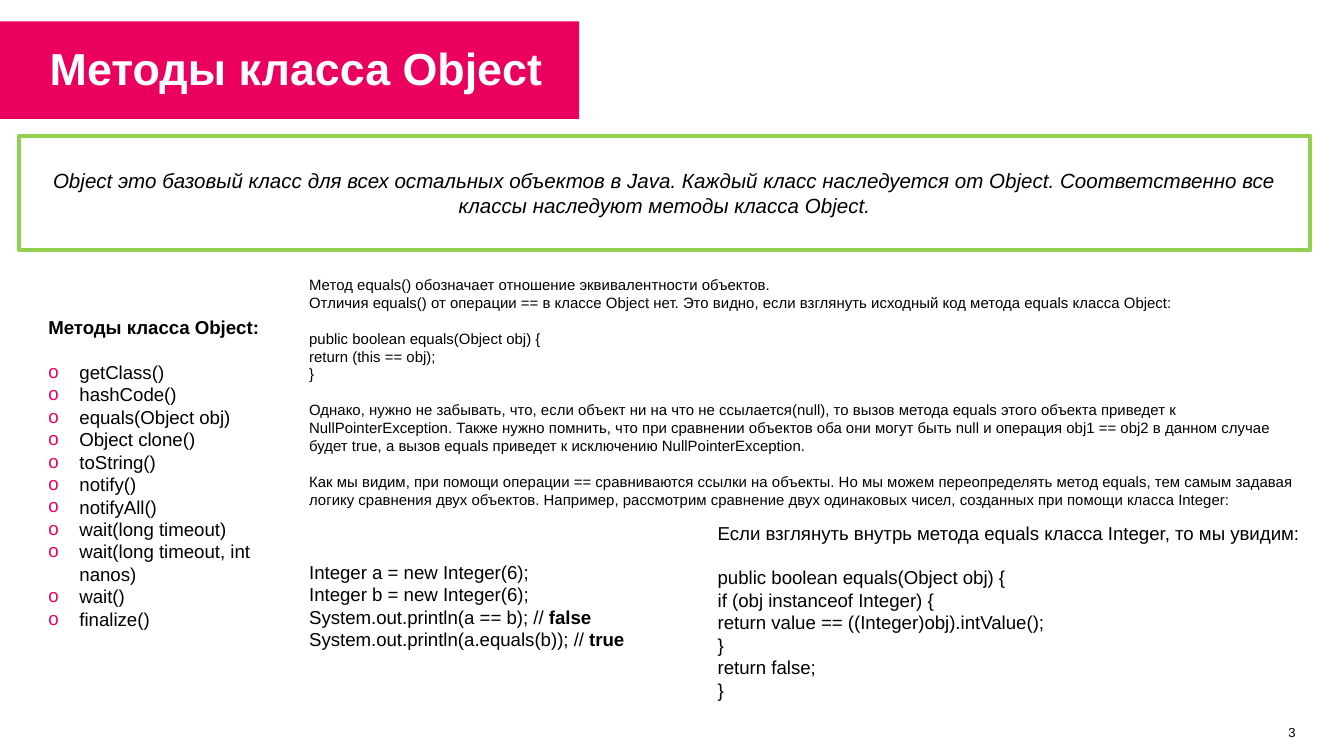
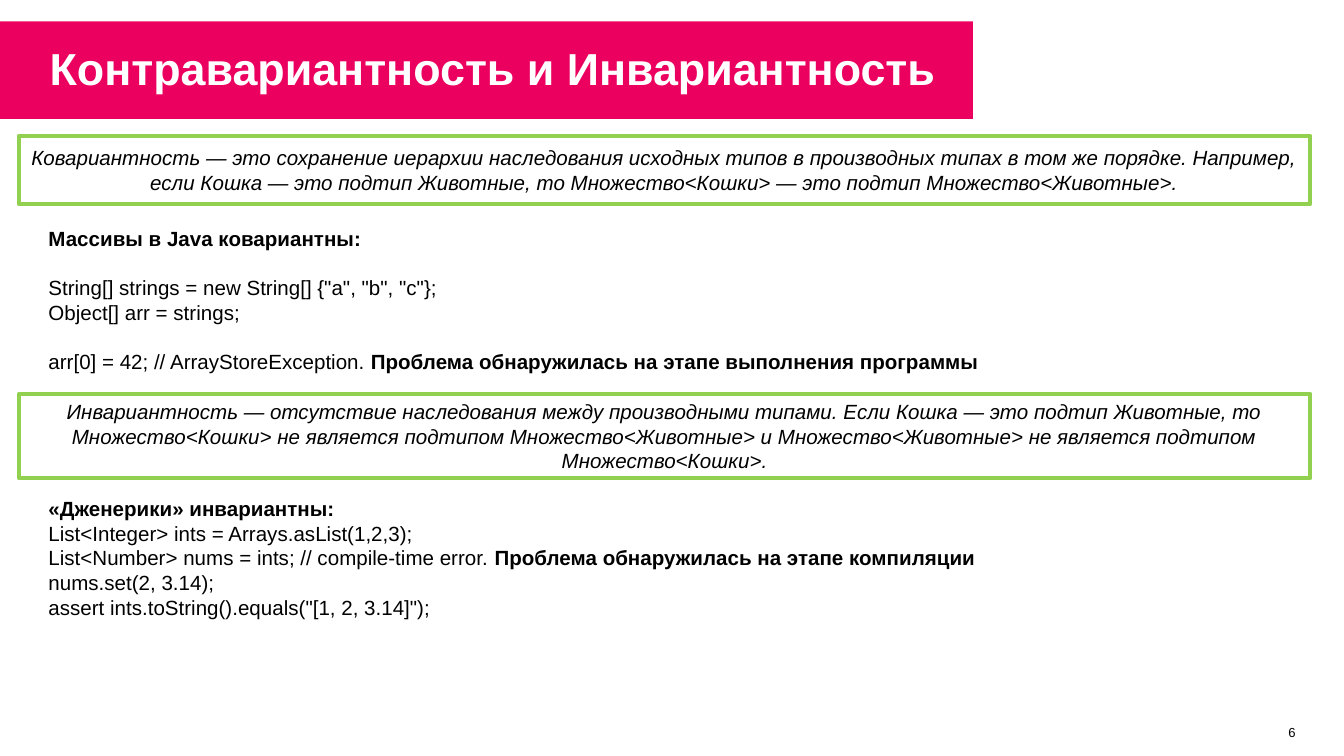
from collections import namedtuple

from lxml import etree
from pptx import Presentation
from pptx.dml.color import RGBColor
from pptx.enum.shapes import MSO_SHAPE
from pptx.enum.text import MSO_ANCHOR, MSO_AUTO_SIZE, PP_ALIGN
from pptx.oxml.ns import qn
from pptx.util import Pt

Box = namedtuple("Box", "x y w h")

RECT = MSO_SHAPE.RECTANGLE
TOP, MIDDLE = MSO_ANCHOR.TOP, MSO_ANCHOR.MIDDLE
LEFT, CENTER, RIGHT = PP_ALIGN.LEFT, PP_ALIGN.CENTER, PP_ALIGN.RIGHT
GROW = MSO_AUTO_SIZE.SHAPE_TO_FIT_TEXT

FONT = "Arial"
PINK, BULLET, GREEN = "EB005F", "EC005F", "92D050"
WHITE, BLACK = "FFFFFF", "000000"
PAGE = Box(0, 0, 720, 405)
MARGIN = 23.04
LEAD = 1.2  # line height as a share of the font size
INDENT = 16.6
TIGHT = (2.9, 2.2, 2.9, 2.9)
EVEN = (3.6,) * 4
WIDE = (5.2, 2.6, 5.2, 2.6)


def color(code):
    return RGBColor.from_string(code)


def place(box):
    return [Pt(n) for n in box]


def inside(box, x, y, w, h):
    """Return a box measured from the top left corner of another."""
    return Box(box.x + x, box.y + y, w, h)


def set_frame(frame, insets, anchor, wrap=True):
    frame.word_wrap = wrap
    frame.vertical_anchor = anchor
    (frame.margin_left, frame.margin_top,
     frame.margin_right, frame.margin_bottom) = place(insets)


def add_run(para, text, size, ink=BLACK, bold=False, italic=False):
    run = para.add_run()
    run.text = text
    font = run.font
    font.name, font.size = FONT, Pt(size)
    font.bold, font.italic = bold, italic
    font.color.rgb = color(ink)


def add_bullet(para):
    props = para._p.get_or_add_pPr()
    props.set("marL", str(Pt(INDENT)))
    props.set("indent", str(-Pt(INDENT)))
    tint = etree.SubElement(props, qn("a:buClr"))
    etree.SubElement(tint, qn("a:srgbClr")).set("val", BULLET)
    etree.SubElement(props, qn("a:buFont")).set("typeface", FONT)
    etree.SubElement(props, qn("a:buChar")).set("char", "o")


def add_rect(slide, box, fill, line=None):
    shape = slide.shapes.add_shape(RECT, *place(box))
    shape.shadow.inherit = False
    shape.fill.solid()
    shape.fill.fore_color.rgb = color(fill)
    if line:
        shape.line.color.rgb = color(line)
        shape.line.width = Pt(2)
    else:
        shape.line.fill.background()
    return shape


def add_label(slide, box, text, size, ink=BLACK, bold=False,
              align=LEFT, wrap=True):
    """Add one line of text, centred vertically in its box."""
    frame = slide.shapes.add_textbox(*place(box)).text_frame
    set_frame(frame, EVEN, MIDDLE, wrap)
    para = frame.paragraphs[0]
    para.alignment = align
    add_run(para, text, size, ink, bold)
    return frame


def add_title(slide, box, text, width):
    add_rect(slide, box, PINK)
    label = inside(box, MARGIN, -11.52, width, 72.72)
    add_label(slide, label, text, 24, WHITE, bold=True)


def add_number(slide, page, number):
    box = inside(page, 681.84, 385.2, 15.84, 13.68)
    frame = add_label(slide, box, str(number), 7, align=RIGHT, wrap=False)
    frame.auto_size = GROW


def add_quote(slide, box, text):
    frame = add_rect(slide, box, WHITE, GREEN).text_frame
    set_frame(frame, WIDE, MIDDLE)
    para = frame.paragraphs[0]
    para.alignment = CENTER
    add_run(para, text, 11, italic=True)


def add_block(slide, box, size, groups, bullets=False):
    """Add groups of lines set one line apart; |bars| enclose bold text.

    With bullets, every group after the first is a bulleted list.
    """
    frame = slide.shapes.add_textbox(*place(box)).text_frame
    set_frame(frame, TIGHT, TOP)
    para = frame.paragraphs[0]
    for g, group in enumerate(groups):
        for n, line in enumerate(group):
            if g or n:
                para = frame.add_paragraph()
            para.alignment = LEFT
            if g and not n:
                para.space_before = Pt(size * LEAD)
            if g and bullets:
                add_bullet(para)
            for i, part in enumerate(line.split("|")):
                if part:
                    add_run(para, part, size, bold=i % 2 == 1)


METHODS = [
    ["|Методы класса Object:|"],
    ["getClass()", "hashCode()", "equals(Object obj)", "Object clone()",
     "toString()", "notify()", "notifyAll()", "wait(long timeout)",
     "wait(long timeout, int nanos)", "wait()", "finalize()"],
]
EQUALS = [
    ["Метод equals() обозначает отношение эквивалентности объектов.",
     "Отличия equals() от операции == в классе Object нет. Это видно, если "
     "взглянуть исходный код метода equals класса Object:"],
    ["public boolean equals(Object obj) {", "return (this == obj);", "}"],
    ["Однако, нужно не забывать, что, если объект ни на что не "
     "ссылается(null), то вызов метода equals этого объекта приведет к "
     "NullPointerException. Также нужно помнить, что при сравнении объектов "
     "оба они могут быть null и операция obj1 == obj2 в данном случае будет "
     "true, а вызов equals приведет к исключению NullPointerException."],
    ["Как мы видим, при помощи операции == сравниваются ссылки на объекты. "
     "Но мы можем переопределять метод equals, тем самым задавая логику "
     "сравнения двух объектов. Например, рассмотрим сравнение двух "
     "одинаковых чисел, созданных при помощи класса Integer:"],
]
SAMPLE = [
    ["Integer a = new Integer(6);", "Integer b = new Integer(6);",
     "System.out.println(a == b); // |false|",
     "System.out.println(a.equals(b)); // |true|"],
]
SOURCE = [
    ["Если взглянуть внутрь метода equals класса Integer, то мы увидим:"],
    ["public boolean equals(Object obj) {", "if (obj instanceof Integer) {",
     "return value == ((Integer)obj).intValue();", "}",
     "return false;", "}"],
]
ARRAYS = [
    ["|Массивы в Java ковариантны:|"],
    ['String[] strings = new String[] {"a", "b", "c"};',
     "Object[] arr = strings;"],
    ["arr[0] = 42; // ArrayStoreException. "
     "|Проблема обнаружилась на этапе выполнения программы|"],
]
LISTS = [
    ["|«Дженерики» инвариантны:|",
     "List<Integer> ints = Arrays.asList(1,2,3);",
     "List<Number> nums = ints; // compile-time error. "
     "|Проблема обнаружилась на этапе компиляции|",
     "nums.set(2, 3.14);",
     'assert ints.toString().equals("[1, 2, 3.14]");'],
]


def add_base(deck, page, number, title, band, width):
    """Add a slide with its page number and title band."""
    slide = deck.slides.add_slide(deck.slide_layouts[6])
    add_number(slide, page, number)
    add_title(slide, inside(page, 0, 11.52, band, 52.2), title, width)
    return slide


def quote_box(page, y, h):
    return inside(page, 10.08, y, 691.92, h)


def object_slide(deck, page):
    slide = add_base(deck, page, 3, "Методы класса Object", 310.3, 290.9)
    add_block(slide, inside(page, MARGIN, 167.04, 130.3, 173.5), 10,
              METHODS, bullets=True)
    add_quote(slide, quote_box(page, 72.72, 61.2),
              "Object это базовый класс для всех остальных объектов в Java. "
              "Каждый класс наследуется от Object. Соответственно все классы "
              "наследуют методы класса Object.")
    x = 162.72
    add_block(slide, inside(page, x, 145.44, 539.3, 232.6), 8, EQUALS)
    add_block(slide, inside(page, x, 298.1, 210.2, 58.3), 10, SAMPLE)
    add_block(slide, inside(page, 381.6, 277.2, 319.7, 100.8), 10, SOURCE)


def variance_slide(deck, page):
    slide = add_base(deck, page, 6, "Контравариантность и Инвариантность",
                     521.3, 542.2)
    add_quote(slide, quote_box(page, 72.72, 36.72),
              "Ковариантность — это сохранение иерархии наследования исходных "
              "типов в производных типах в том же порядке. Например, если "
              "Кошка — это подтип Животные, то Множество<Кошки> — это подтип "
              "Множество<Животные>.")
    for y, groups in ((118.8, ARRAYS), (263.52, LISTS)):
        add_block(slide, inside(page, MARGIN, y, 658.8, 87.8), 11, groups)
    add_quote(slide, quote_box(page, 210.96, 45.36),
              "Инвариантность — отсутствие наследования между производными "
              "типами. Если Кошка — это подтип Животные, то Множество<Кошки> "
              "не является подтипом Множество<Животные> и "
              "Множество<Животные> не является подтипом Множество<Кошки>.")


def main():
    deck = Presentation()
    deck.slide_width, deck.slide_height = Pt(PAGE.w), Pt(PAGE.h)
    object_slide(deck, PAGE)
    variance_slide(deck, PAGE)
    deck.save("out.pptx")


if __name__ == "__main__":
    main()
